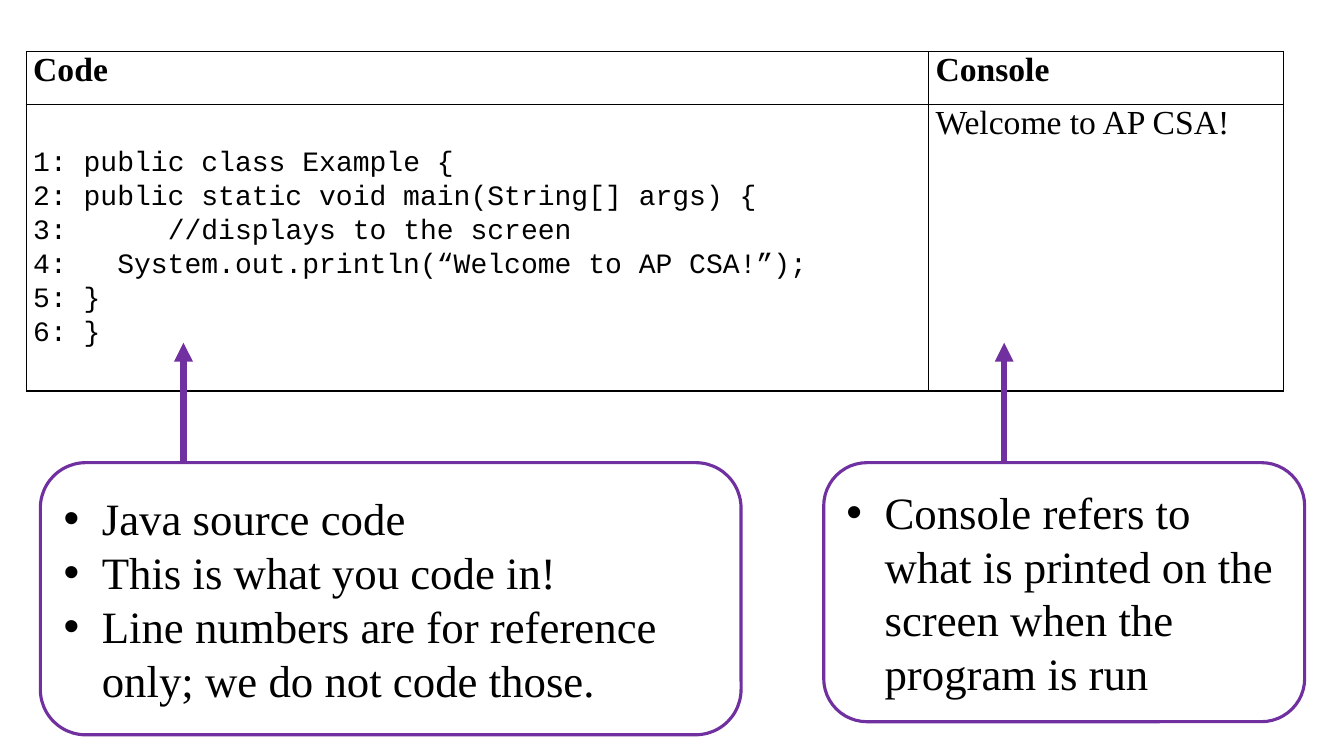
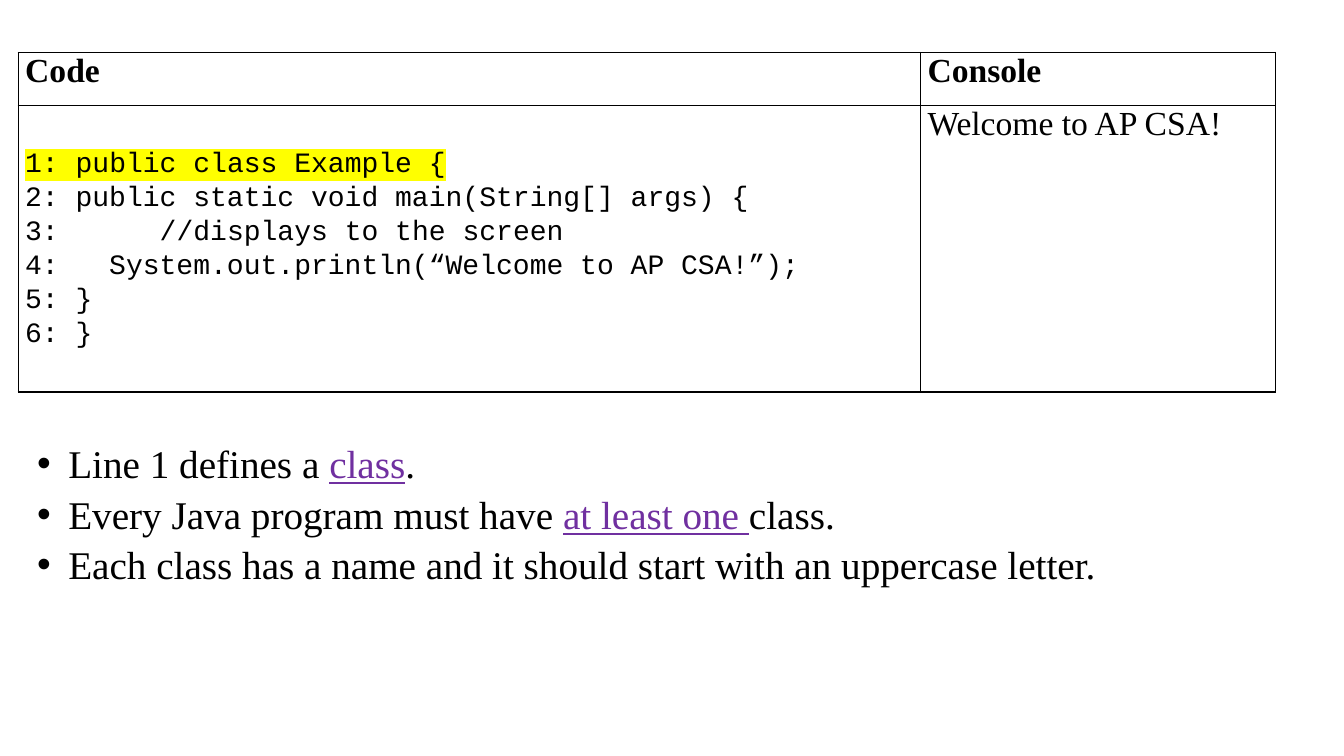
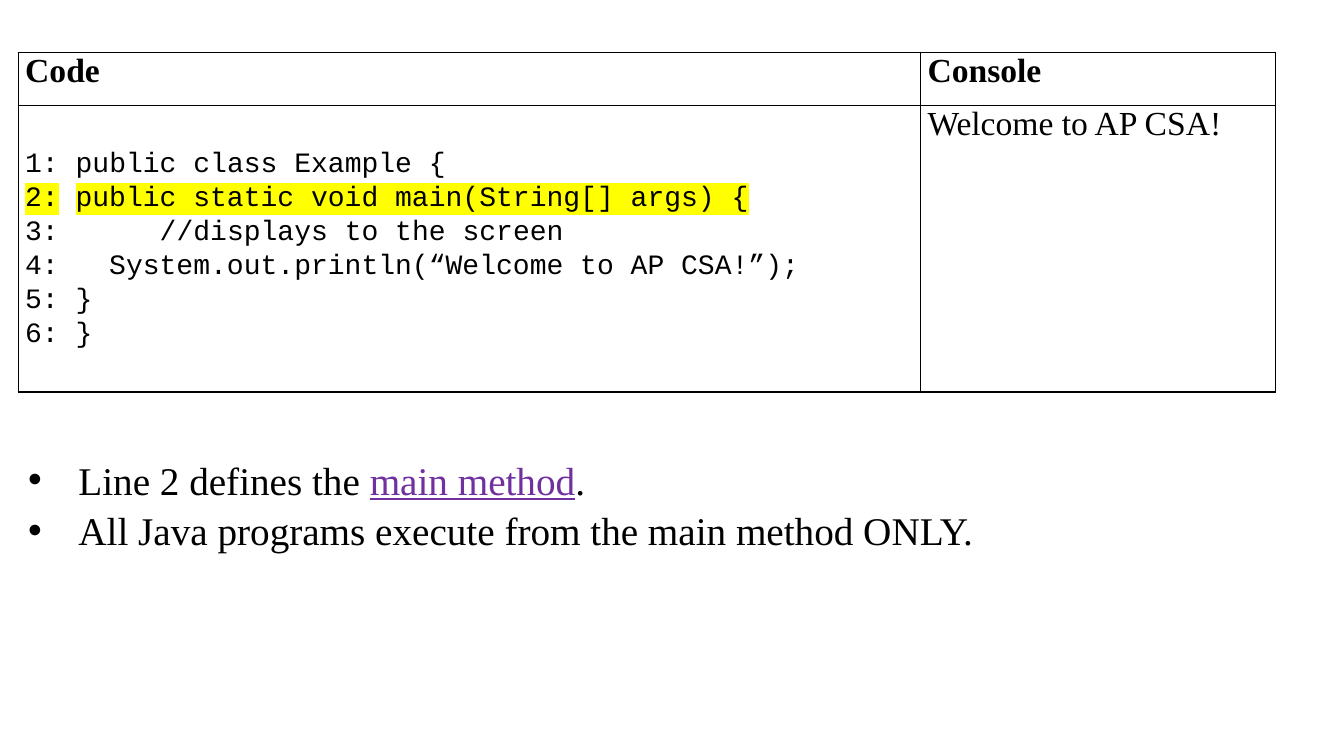
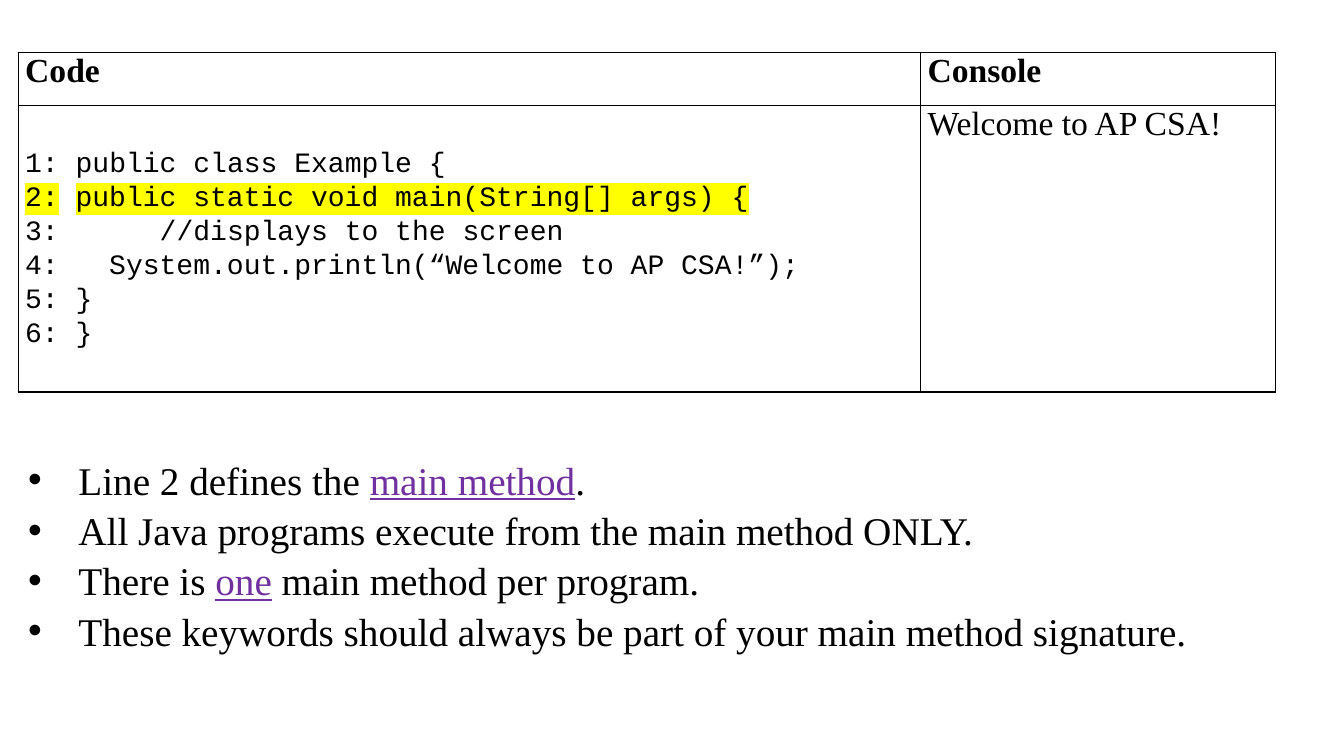
from lxml import etree
from pptx import Presentation
from pptx import util as u
from pptx.dml.color import RGBColor
from pptx.enum import shapes, text
from pptx.oxml.ns import qn

COLORS = {"ink": "000000", "accent": "7030A0", "mark": "FFFF00"}
SERIF, MONO = "Times New Roman", "Courier New"
SPACING = 1.07
CODE = [
    "1: public class Example {",
    "2:\tpublic static void main(String[] args) {",
    "3:      //displays to the screen",
    "4:\t  System.out.println(“Welcome to AP CSA!”);",
    "5:\t}",
    "6: }",
]
CLASS_POINTS = [
    "Line 1 defines a *class*.",
    "Every Java program must have *at least one *class.",
    "Each class has a name and it should start with an uppercase letter.",
]
MAIN_POINTS = [
    "Line 2 defines the *main method*.",
    "All Java programs execute from the main method ONLY.",
    "There is *one* main method per program.",
    "These keywords should always be part of your main method signature.",
]
SOURCE_POINTS = [
    "Java source code",
    "This is what you code in!",
    "Line numbers are for reference only; we do not code those.",
]
CONSOLE_POINTS = ["Console refers to what is printed on the screen when the program is run"]


def rgb(name):
    return RGBColor.from_string(COLORS[name])


def style_run(r, size, font=SERIF, color="ink", bold=False):
    r.font.size = u.Pt(size)
    r.font.bold = bold
    r.font.color.rgb = rgb(color)
    r.font.name = font


def highlight(r):
    rpr = r.font.fill._xPr
    mark = etree.Element(qn("a:highlight"))
    etree.SubElement(mark, qn("a:srgbClr"), val=COLORS["mark"])
    rpr.find(qn("a:solidFill")).addnext(mark)


def add_bullets(tf, points, size, indent, spacing=None):
    for i, point in enumerate(points):
        p = tf.paragraphs[0] if i == 0 else tf.add_paragraph()
        ppr = p._p.get_or_add_pPr()
        ppr.set("marL", str(u.Inches(indent)))
        ppr.set("indent", str(u.Inches(-indent)))
        etree.SubElement(ppr, qn("a:buFont"), typeface="Arial")
        etree.SubElement(ppr, qn("a:buChar"), char="•")
        p.alignment = text.PP_ALIGN.LEFT
        p.line_spacing = spacing
        for j, part in enumerate(point.split("*")):
            r = p.add_run()
            r.text = part
            key_term = j % 2 == 1
            style_run(r, size, color="accent" if key_term else "ink")
            if key_term:
                r.font.underline = True


def add_borders(cell):
    tcpr = cell._tc.get_or_add_tcPr()
    for i, side in enumerate(("lnL", "lnR", "lnT", "lnB")):
        ln = etree.Element(qn(f"a:{side}"), w=str(u.Pt(1)))
        fill = etree.SubElement(ln, qn("a:solidFill"))
        etree.SubElement(fill, qn("a:srgbClr"), val=COLORS["ink"])
        tcpr.insert(i, ln)


def fill_cell(cell, lines, size=24, font=SERIF, bold=False, spacing=None):
    cell.margin_left = cell.margin_right = u.Inches(0.07)
    cell.margin_top = cell.margin_bottom = 0
    cell.fill.background()
    add_borders(cell)
    cell.text_frame.text = "\n".join(lines)
    for p in cell.text_frame.paragraphs:
        p.line_spacing = spacing
        for r in p.runs:
            style_run(r, size, font, bold=bold)


def add_code_table(s, left, top, marked=None):
    widths, heights = (8.95, 3.52), (0.53, 2.84)
    frame = s.shapes.add_table(2, 2, u.Inches(left), u.Inches(top),
                               u.Inches(sum(widths)), u.Inches(sum(heights)))
    table = frame.table
    table.first_row = table.horz_banding = False
    for col, width in zip(table.columns, widths):
        col.width = u.Inches(width)
    for row, height in zip(table.rows, heights):
        row.height = u.Inches(height)
    fill_cell(table.cell(0, 0), ["Code"], bold=True)
    fill_cell(table.cell(0, 1), ["Console"], bold=True)
    fill_cell(table.cell(1, 1), ["Welcome to AP CSA!"])
    code = table.cell(1, 0)
    fill_cell(code, CODE, 20, MONO, spacing=SPACING)
    code.vertical_anchor = text.MSO_ANCHOR.MIDDLE
    if marked:
        for r in code.text_frame.paragraphs[marked - 1].runs:
            highlight(r)


def add_arrow(s, x, start, end):
    sp = s.shapes.add_connector(shapes.MSO_CONNECTOR.STRAIGHT, u.Inches(x), u.Inches(start),
                                u.Inches(x), u.Inches(end))
    sp.line.color.rgb = rgb("accent")
    sp.line.width = u.Pt(4.5)
    etree.SubElement(sp.line._get_or_add_ln(), qn("a:tailEnd"), type="triangle")
    etree.SubElement(sp._element.spPr, qn("a:effectLst"))


def add_callout(s, left, width, height, arrow_x, points):
    top = 4.59
    add_arrow(s, arrow_x, top, 3.4)
    sp = s.shapes.add_shape(shapes.MSO_SHAPE.ROUNDED_RECTANGLE, u.Inches(left), u.Inches(top),
                            u.Inches(width), u.Inches(height))
    sp.shadow.inherit = False
    sp.fill.background()
    sp.line.color.rgb = rgb("accent")
    sp.line.width = u.Pt(2.25)
    sp.text_frame.vertical_anchor = text.MSO_ANCHOR.MIDDLE
    add_bullets(sp.text_frame, points, 32, 0.38)


def add_notes_box(s, left, top, height, indent, points):
    sp = s.shapes.add_textbox(u.Inches(left), u.Inches(top), u.Inches(12.04), u.Inches(height))
    tf = sp.text_frame
    tf.word_wrap = True
    tf.auto_size = text.MSO_AUTO_SIZE.SHAPE_TO_FIT_TEXT
    add_bullets(tf, points, 28, indent, SPACING)


def main():
    prs = Presentation()
    prs.slide_width, prs.slide_height = u.Inches(13.33), u.Inches(7.5)
    blank = prs.slide_layouts[6]

    s = prs.slides.add_slide(blank)
    add_code_table(s, 0.26, 0.51)
    add_callout(s, 0.4, 6.95, 2.7, 1.82, SOURCE_POINTS)
    add_callout(s, 8.17, 4.77, 2.57, 9.96, CONSOLE_POINTS)

    for marked, left, top, height, indent, points in (
        (1, 0.27, 4.28, 1.58, 0.31, CLASS_POINTS),
        (2, 0.18, 4.44, 1.08, 0.5, MAIN_POINTS[:2]),
        (2, 0.18, 4.44, 2.12, 0.5, MAIN_POINTS),
    ):
        s = prs.slides.add_slide(blank)
        add_code_table(s, 0.18, 0.52, marked)
        add_notes_box(s, left, top, height, indent, points)

    prs.save("out.pptx")


if __name__ == "__main__":
    main()
